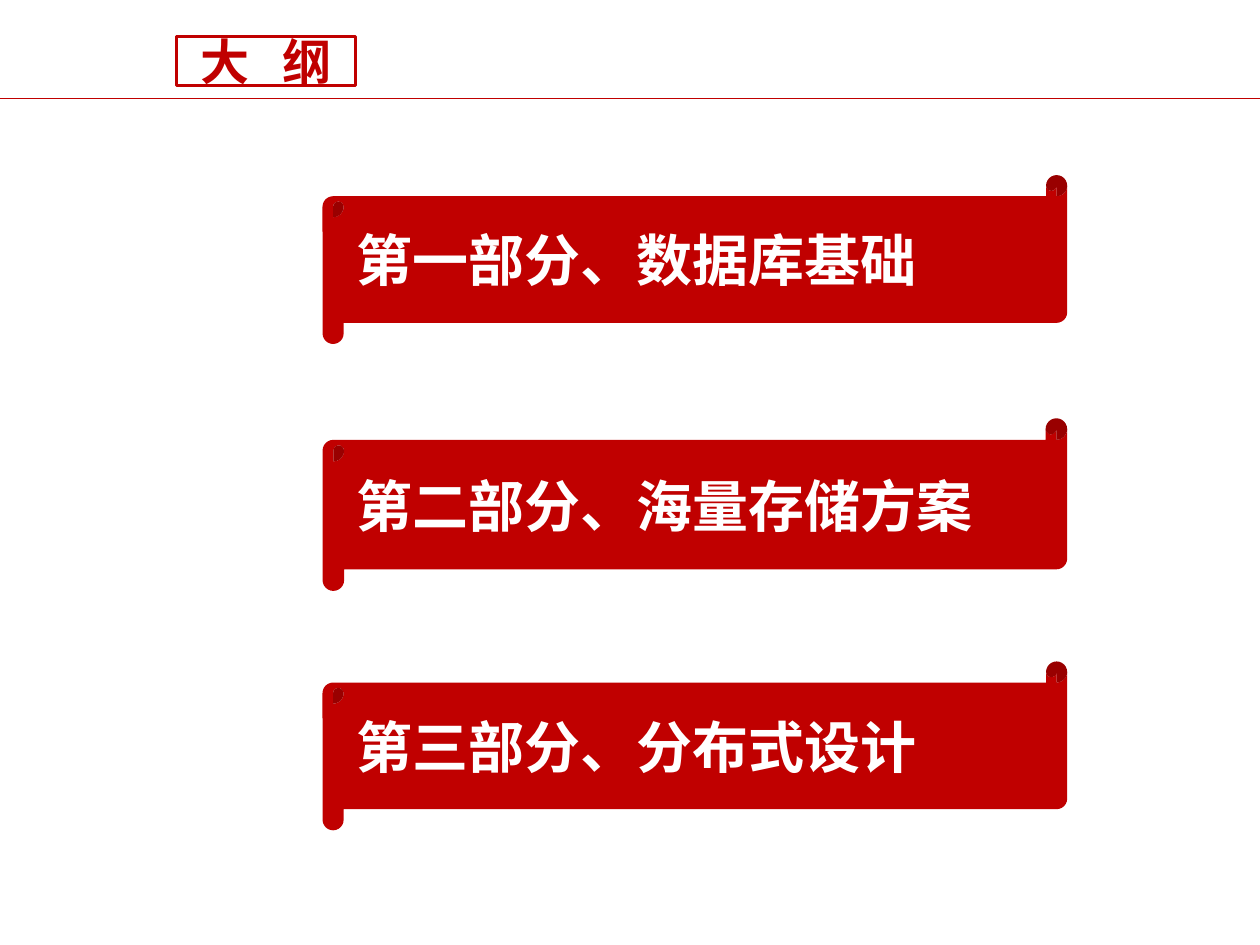
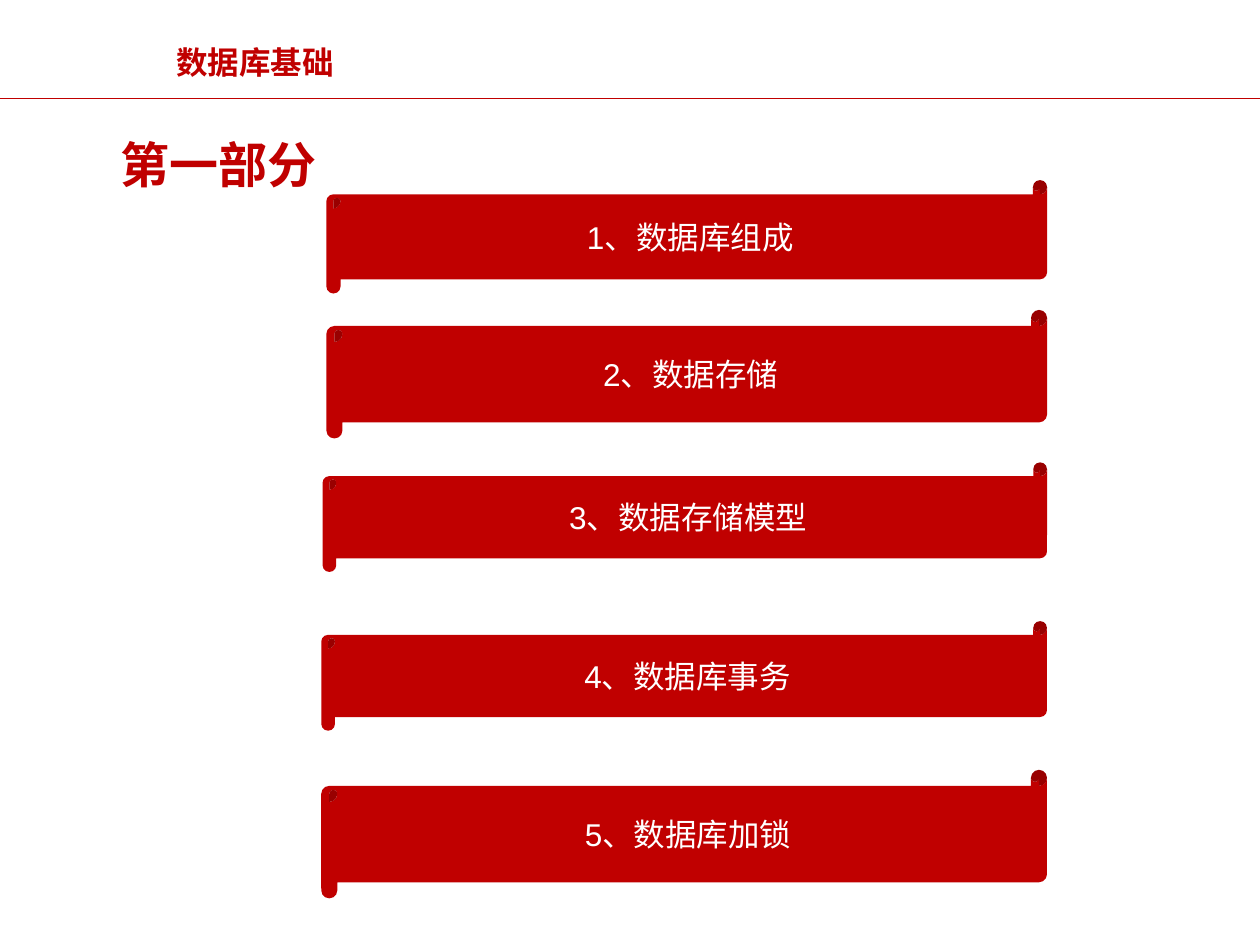
from lxml import etree
from pptx import Presentation
from pptx.dml.color import RGBColor
from pptx.enum import shapes, text
from pptx.oxml.ns import qn
from pptx.util import Inches, Pt

RED = "C00000"
WHITE = "FFFFFF"
CJK_FONT = "Noto Sans CJK SC"
LATIN_FONT = "Arial"
TITLE_ONLY = 5


def color(hex_string):
    return RGBColor.from_string(hex_string)


class Deck:
    """Holds the shared style and the slide being built."""

    def __init__(self):
        self.presentation = Presentation()
        self.presentation.slide_width = Inches(10)
        self.presentation.slide_height = Inches(7.5)
        self.slide = None

    def add_slide(self):
        layout = self.presentation.slide_layouts[TITLE_ONLY]
        self.slide = self.presentation.slides.add_slide(layout)
        rule = self.slide.shapes.add_connector(
            shapes.MSO_CONNECTOR.STRAIGHT,
            Inches(0), Inches(0.78), Inches(10), Inches(0.78))
        rule.line.color.rgb = color(RED)
        rule.line.width = Pt(0.75)
        etree.SubElement(rule.element.spPr, qn("a:effectLst"))

    def set_text(self, shape, content, size, ink, bold=True, font=CJK_FONT,
                 align=text.PP_ALIGN.LEFT, anchor=text.MSO_ANCHOR.MIDDLE):
        frame = shape.text_frame
        frame.text = content
        frame.auto_size = text.MSO_AUTO_SIZE.NONE
        frame.vertical_anchor = anchor
        frame.word_wrap = True
        paragraph = frame.paragraphs[0]
        paragraph.alignment = align
        run = paragraph.runs[0]
        run.font.size = Pt(size)
        run.font.bold = bold
        run.font.name = font
        run.font.color.rgb = color(ink)
        east_asian = etree.SubElement(run.font._element, qn("a:ea"))
        east_asian.set("typeface", CJK_FONT)
        return run

    def title(self, content, left, top, width, height, size, **style):
        title = self.slide.shapes.title
        title.left, title.top = Inches(left), Inches(top)
        title.width, title.height = Inches(width), Inches(height)
        return title, self.set_text(title, content, size, RED, **style)

    def framed_title(self, content, left, top, width, height, size, spacing):
        """Title in a rounded frame, its letters set apart by spacing points."""
        title, run = self.title(content, left, top, width, height, size,
                                align=text.PP_ALIGN.CENTER)
        run.font._element.set("spc", str(round(spacing * 100)))
        geometry = etree.SubElement(title.element.spPr, qn("a:prstGeom"))
        geometry.set("prst", "flowChartAlternateProcess")
        etree.SubElement(geometry, qn("a:avLst"))
        title.fill.solid()
        title.fill.fore_color.rgb = color(WHITE)
        title.line.color.rgb = color(RED)
        title.line.width = Pt(2)

    def label(self, content, left, top, width, height, size):
        box = self.slide.shapes.add_textbox(
            Inches(left), Inches(top), Inches(width), Inches(height))
        self.set_text(box, content, size, RED, anchor=text.MSO_ANCHOR.TOP)

    def scroll(self, content, left, top, right, height, size, **style):
        scroll = self.slide.shapes.add_shape(
            shapes.MSO_SHAPE.HORIZONTAL_SCROLL,
            Inches(left), Inches(top), Inches(right - left), Inches(height))
        scroll.shadow.inherit = False
        scroll.fill.solid()
        scroll.fill.fore_color.rgb = color(RED)
        scroll.line.fill.background()
        self.set_text(scroll, content, size, WHITE, **style)


def build_outline(deck):
    deck.add_slide()
    deck.framed_title("大 纲", 1.4, 0.29, 1.42, 0.39, size=28, spacing=6.3)
    parts = [("第一部分、数据库基础", 1.34),
             ("第二部分、海量存储方案", 1.37),
             ("第三部分、分布式设计", 1.34)]
    for index, (part, height) in enumerate(parts):
        deck.scroll(part, 2.56, 1.39 + 1.93 * index, 8.47, height, size=32)


def build_part_one(deck):
    deck.add_slide()
    deck.title("数据库基础", 1.3, 0.29, 1.7, 0.4, size=18)
    deck.label("第一部分", 0.86, 1.02, 1.86, 0.57, size=28)
    topics = [("数据库组成", 2.59, 1.43, 0.9),
              ("数据存储", 2.59, 2.46, 1.02),
              ("数据存储模型", 2.56, 3.67, 0.87),
              ("数据库事务", 2.55, 4.93, 0.87),
              ("数据库加锁", 2.55, 6.11, 1.02)]
    for number, (topic, left, top, height) in enumerate(topics, start=1):
        deck.scroll(f"{number}、{topic}", left, top, 8.31, height, size=18,
                    bold=False, font=LATIN_FONT, align=text.PP_ALIGN.CENTER)


def main():
    deck = Deck()
    build_outline(deck)
    build_part_one(deck)
    deck.presentation.save("out.pptx")


if __name__ == "__main__":
    main()
